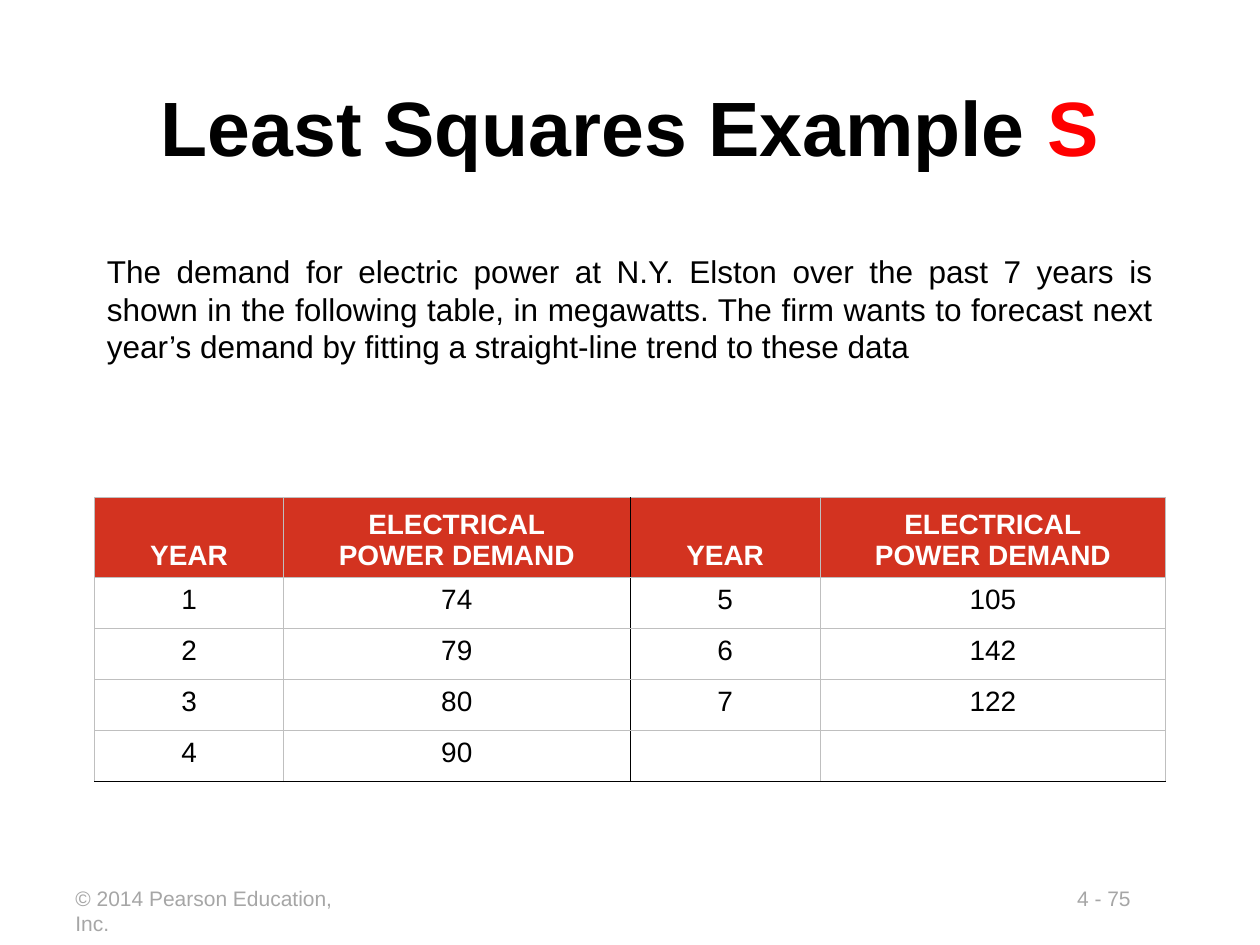
"""Build the least squares example slide with its power demand table."""
from lxml.etree import SubElement
from pptx import Presentation
from pptx.dml.color import RGBColor
from pptx.enum.text import MSO_ANCHOR, PP_ALIGN
from pptx.oxml.ns import qn
from pptx.util import Inches, Pt

HUES = {"ink": "000000", "mark": "FF0000", "head": "D33320",
        "white": "FFFFFF", "rule": "BFBFBF", "foot": "A6A6A6"}


def style(frame, size, hue, align=PP_ALIGN.LEFT, bold=False):
    for para in frame.paragraphs:
        para.alignment = align
        for run in para.runs:
            run.font.name = "Arial"
            run.font.size = Pt(size)
            run.font.bold = bold
            run.font.color.rgb = RGBColor.from_string(HUES[hue])


def edge(cell, side, hue):
    line = SubElement(cell._tc.get_or_add_tcPr(), qn("a:ln" + side), w=str(Pt(0.45)))
    fill = SubElement(line, qn("a:solidFill"))
    SubElement(fill, qn("a:srgbClr"), val=HUES[hue])


deck = Presentation()
deck.slide_width, deck.slide_height = Inches(10), Inches(7.5)
slide = deck.slides.add_slide(deck.slide_layouts[6])

feet = [(8.45, 1.2, "4 - 75"), (0.5, 2.55, "© 2014 Pearson Education, Inc.")]
for left, width, text in feet:
    box = slide.shapes.add_textbox(Inches(left), Inches(6.98), Inches(width), Inches(0.3))
    box.text_frame.text = text
    box.text_frame.word_wrap = False
    style(box.text_frame, 12, "foot")

title = slide.shapes.add_textbox(Inches(0.75), Inches(0.49), Inches(8.5), Inches(1.01)).text_frame
title.word_wrap = True
title.vertical_anchor = MSO_ANCHOR.MIDDLE
title.text = "Least Squares Example "
mark = title.paragraphs[0].add_run()
mark.text = "S"
style(title, 44, "ink", PP_ALIGN.CENTER, True)
mark.font.color.rgb = RGBColor.from_string(HUES["mark"])

rows = [
    ["YEAR", "ELECTRICAL\nPOWER DEMAND"] * 2,
    ["1", "74", "5", "105"],
    ["2", "79", "6", "142"],
    ["3", "80", "7", "122"],
    ["4", "90", "", ""],
]
widths = [1.5, 2.75, 1.51, 2.74]
heights = [0.63] + [0.405] * 4
grid = slide.shapes.add_table(len(rows), len(widths), Inches(0.75), Inches(3.95),
                              Inches(8.5), Inches(2.25)).table
for col, width in zip(grid.columns, widths):
    col.width = Inches(width)
for r, row in enumerate(rows):
    grid.rows[r].height = Inches(heights[r])
    for c, text in enumerate(row):
        cell = grid.cell(r, c)
        edge(cell, "L", "ink" if c == 2 else "rule")
        edge(cell, "R", "ink" if c == 1 else "rule")
        edge(cell, "T", "rule")
        edge(cell, "B", "ink" if r == len(rows) - 1 else "rule")
        if r == 0:
            cell.fill.solid()
            cell.fill.fore_color.rgb = RGBColor.from_string(HUES["head"])
            cell.vertical_anchor = MSO_ANCHOR.BOTTOM
        else:
            cell.fill.background()
        cell.text_frame.text = text
        style(cell.text_frame, 16, "ink" if r else "white", PP_ALIGN.CENTER, r == 0)

body = slide.shapes.add_textbox(Inches(0.75), Inches(1.95), Inches(8.5), Inches(1)).text_frame
body.word_wrap = True
body.text = (
    "The demand for electric power at N.Y. Elston over the past 7 years is shown in "
    "the following table, in megawatts. The firm wants to forecast next year’s demand "
    "by fitting a straight-line trend to these data"
)
style(body, 18, "ink", PP_ALIGN.JUSTIFY)

deck.save("out.pptx")
